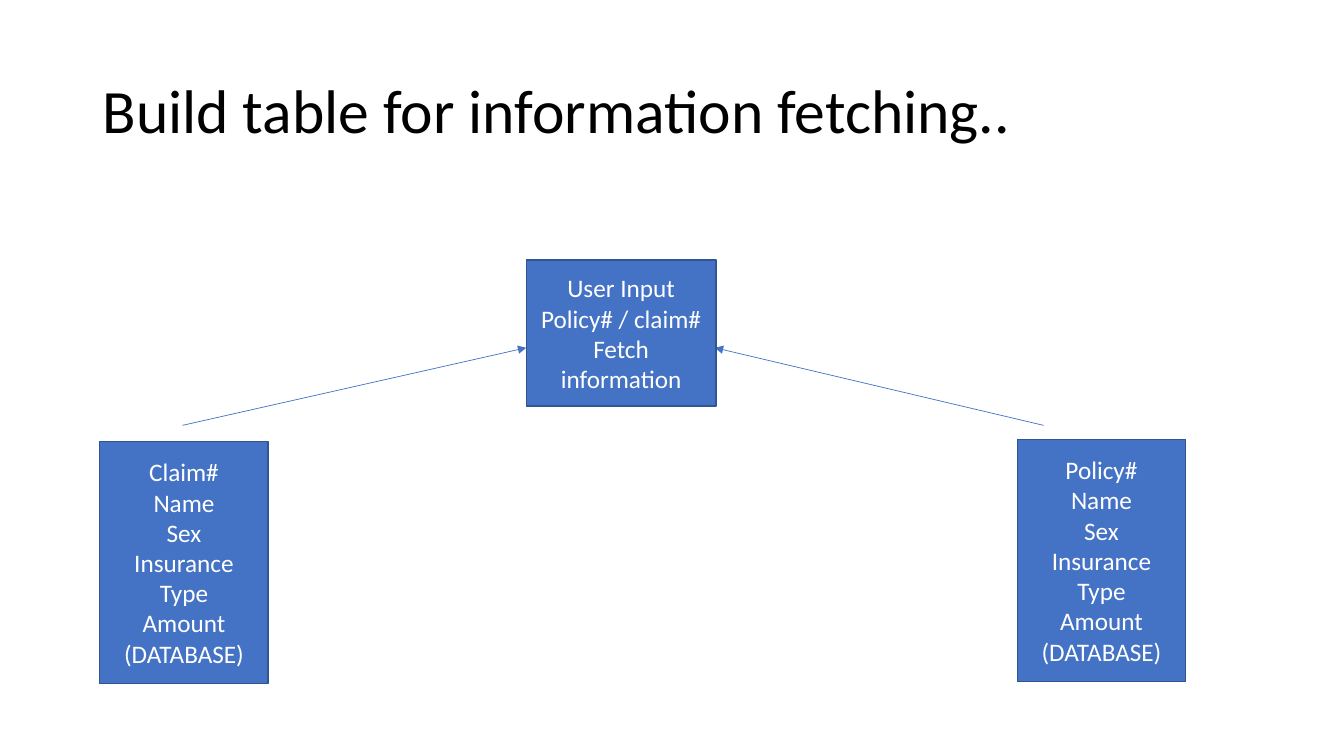
from lxml import etree
from pptx import Presentation
from pptx.dml.color import RGBColor
from pptx.enum.shapes import MSO_CONNECTOR, MSO_SHAPE
from pptx.enum.text import MSO_ANCHOR, PP_ALIGN
from pptx.oxml.ns import qn
from pptx.util import Inches, Pt

RECTANGLE = MSO_SHAPE.RECTANGLE
STRAIGHT = MSO_CONNECTOR.STRAIGHT
MIDDLE = MSO_ANCHOR.MIDDLE
LEFT, CENTER = PP_ALIGN.LEFT, PP_ALIGN.CENTER

COLORS = {"title": "000000", "box": "4472C4", "border": "325491", "label": "FFFFFF"}


def color(name):
    return RGBColor.from_string(COLORS[name])


def write_text(shape, text, size, color_name, paragraph_format):
    frame = shape.text_frame
    frame.word_wrap = True
    frame.vertical_anchor = MIDDLE
    paragraph = frame.paragraphs[0]
    paragraph.text = text
    for name, value in paragraph_format.items():
        setattr(paragraph, name, value)
    for name, value in {"name": "Calibri", "size": Pt(size)}.items():
        setattr(paragraph.font, name, value)
    paragraph.font.color.rgb = color(color_name)


def add_title(slide, text, bounds):
    title = slide.shapes.add_textbox(*map(Inches, bounds))
    write_text(title, text, 44, "title", {"alignment": LEFT, "line_spacing": 0.9})


def add_box(slide, lines, bounds):
    box = slide.shapes.add_shape(RECTANGLE, *map(Inches, bounds))
    box.shadow.inherit = False
    box.fill.solid()
    box.fill.fore_color.rgb = color("box")
    box.line.color.rgb = color("border")
    box.line.width = Pt(1)
    write_text(box, "\n".join(lines), 18, "label", {"alignment": CENTER})


def add_arrow(slide, start, end):
    arrow = slide.shapes.add_connector(STRAIGHT, *map(Inches, start + end))
    arrow.line.color.rgb = color("box")
    arrow.line.width = Pt(0.5)
    properties = arrow.line._get_or_add_ln()
    etree.SubElement(properties, qn("a:tailEnd"), type="triangle")
    etree.SubElement(properties.getparent(), qn("a:effectLst"))


def main():
    presentation = Presentation()
    presentation.slide_width = Inches(13.33)
    presentation.slide_height = Inches(7.5)
    slide = presentation.slides.add_slide(presentation.slide_layouts[6])

    add_title(slide, "Build table for information fetching..", (0.92, 0.4, 11.5, 1.45))

    record_fields = ["Name", "Sex", "Insurance Type", "Amount", "(DATABASE)"]
    databases = [
        ("Claim#", 0.99, 4.38, 1.81, 5.22),
        ("Policy#", 10.09, 4.36, 10.35, 7.09),
    ]
    for key, left, top, arrow_start, arrow_end in databases:
        add_box(slide, [key] + record_fields, (left, top, 1.67, 2.4))
        add_arrow(slide, (arrow_start, 4.22), (arrow_end, 3.45))

    user_input = ["User Input", "Policy# / claim#", "Fetch information"]
    add_box(slide, user_input, (5.22, 2.58, 1.88, 1.45))

    presentation.save("out.pptx")


if __name__ == "__main__":
    main()
